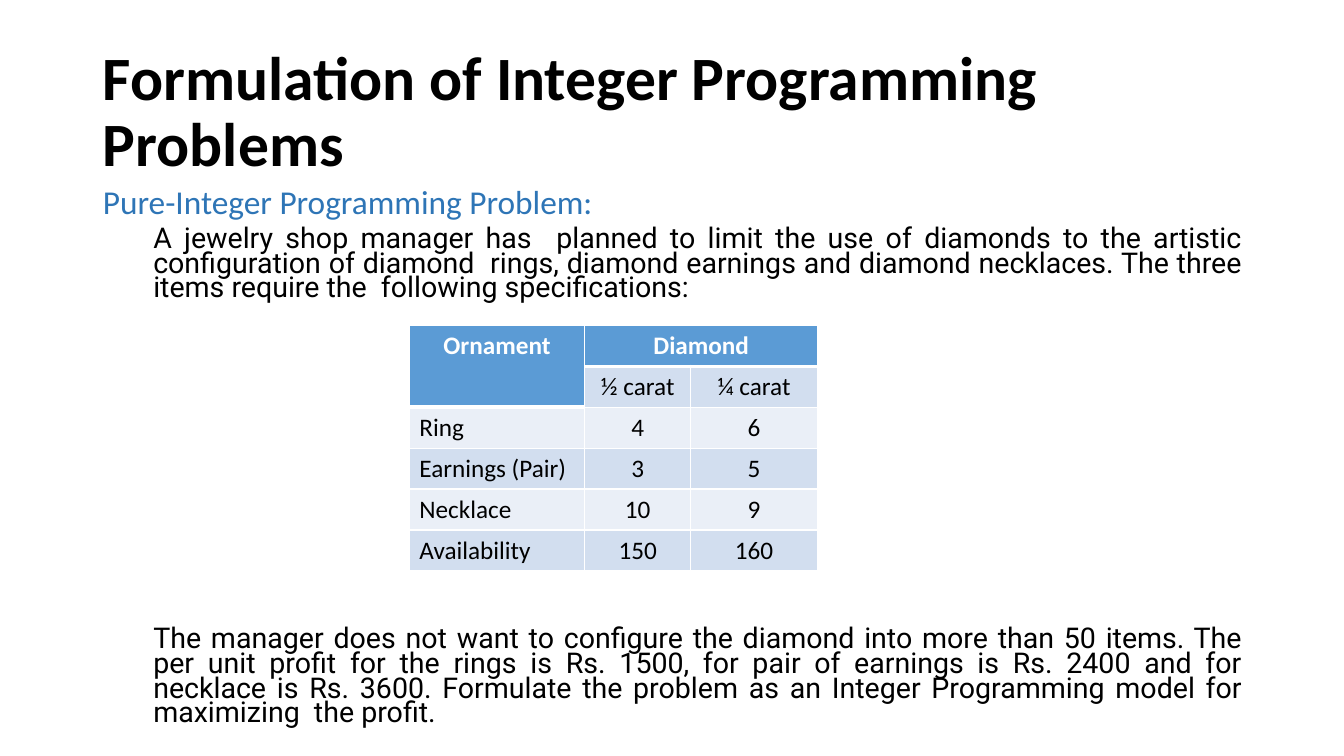
from pptx import Presentation
from pptx import util as u
from pptx.dml.color import RGBColor
from pptx.enum import text
from pptx.oxml import parse_xml
from pptx.oxml.ns import nsdecls

BLACK = RGBColor(0, 0, 0)
WHITE = RGBColor(255, 255, 255)
HEADING = RGBColor(0x2E, 0x75, 0xB6)
HEADER = RGBColor(0x5B, 0x9B, 0xD5)
BAND_DARK = RGBColor(0xD2, 0xDE, 0xEF)
BAND_LIGHT = RGBColor(0xEA, 0xEF, 0xF7)

LEFT, WIDTH = 0.92, 11.5
TITLE_TOP, TITLE_HEIGHT = 0.4, 1.45
BODY_TOP, BODY_HEIGHT = 1.85, 5.44
TABLE_LEFT, TABLE_TOP = 4.06, 3.23
COLUMNS, ROW_HEIGHT = (1.74, 1.05, 1.26), 0.4

TITLE = "Formulation of Integer Programming Problems"
SUBTITLE = "Pure-Integer Programming Problem:"
PROBLEM = (
    "A jewelry shop manager has  planned to limit the use of diamonds to the "
    "artistic configuration of diamond  rings, diamond earnings and diamond "
    "necklaces. The three items require the  following specifications:"
)
QUESTION = (
    "The manager does not want to configure the diamond into more than 50 items. "
    "The per unit profit for the rings is Rs. 1500, for pair of earnings is "
    "Rs. 2400 and for necklace is Rs. 3600. Formulate the problem as an Integer "
    "Programming model for maximizing  the profit."
)
ORNAMENTS = [
    ("Ornament", "Diamond", ""),
    ("", "½ carat", "¼ carat"),
    ("Ring", "4", "6"),
    ("Earnings (Pair)", "3", "5"),
    ("Necklace", "10", "9"),
    ("Availability", "150", "160"),
]


def place(sp, left, top, width, height):
    sp.left, sp.top = u.Inches(left), u.Inches(top)
    sp.width, sp.height = u.Inches(width), u.Inches(height)


def format_runs(p, size, color, font="Calibri", bold=False):
    for r in p.runs:
        r.font.size, r.font.name, r.font.bold = u.Pt(size), font, bold
        r.font.color.rgb = color


def fill_title(sp):
    place(sp, LEFT, TITLE_TOP, WIDTH, TITLE_HEIGHT)
    tf = sp.text_frame
    tf.text = TITLE
    tf.word_wrap = True
    tf.auto_size = text.MSO_AUTO_SIZE.NONE
    tf.vertical_anchor = text.MSO_ANCHOR.MIDDLE
    p = tf.paragraphs[0]
    p.alignment, p.line_spacing = text.PP_ALIGN.LEFT, 0.9
    format_runs(p, 44, BLACK, bold=True)


def format_body(p, level, before):
    """Justify a body paragraph and replace its bullet by a plain indent."""
    p.level, p.alignment = level, text.PP_ALIGN.JUSTIFY
    p.line_spacing, p.space_before = 0.72, u.Pt(before)
    pPr = p._p.get_or_add_pPr()
    pPr.set("marL", str(u.Inches(0.5 * level)))
    pPr.set("indent", "0")
    pPr.append(parse_xml(f"<a:buNone {nsdecls('a')}/>"))


def fill_body(sp):
    """Write the problem, leaving room for the table before the question."""
    place(sp, LEFT, BODY_TOP, WIDTH, BODY_HEIGHT)
    tf = sp.text_frame
    tf.text = "\n".join((SUBTITLE, PROBLEM, QUESTION))
    tf.word_wrap = True
    tf.auto_size = text.MSO_AUTO_SIZE.NONE
    subtitle, problem, question = tf.paragraphs
    format_body(subtitle, 0, 6)
    format_runs(subtitle, 23.8, HEADING)
    for p, before in ((problem, 6), (question, 233)):
        format_body(p, 1, before)
        format_runs(p, 20.4, BLACK, "Roboto")


def add_borders(cell, bottom):
    tcPr = cell._tc.get_or_add_tcPr()
    widths = {"lnL": 1, "lnR": 1, "lnT": 1, "lnB": bottom}
    for i, (side, width) in enumerate(widths.items()):
        tcPr.insert(i, parse_xml(
            f'<a:{side} {nsdecls("a")} w="{u.Pt(width)}"><a:solidFill>'
            f'<a:srgbClr val="{WHITE}"/></a:solidFill></a:{side}>'))


def format_cell(cell, row, col, value):
    header = row == 0 or (row == 1 and col == 0)
    cell.fill.solid()
    cell.fill.fore_color.rgb = (
        HEADER if header else BAND_DARK if row % 2 else BAND_LIGHT)
    add_borders(cell, 3 if header else 1)
    if value:
        cell.text = value
        p = cell.text_frame.paragraphs[0]
        centred = header or col > 0
        p.alignment = text.PP_ALIGN.CENTER if centred else text.PP_ALIGN.LEFT
        format_runs(p, 18, WHITE if header else BLACK, bold=header)


def add_ornaments(s):
    frame = s.shapes.add_table(
        len(ORNAMENTS), len(COLUMNS), u.Inches(TABLE_LEFT), u.Inches(TABLE_TOP),
        u.Inches(sum(COLUMNS)), u.Inches(ROW_HEIGHT * len(ORNAMENTS)))
    table = frame.table
    for column, width in zip(table.columns, COLUMNS):
        column.width = u.Inches(width)
    for row, values in enumerate(ORNAMENTS):
        for col, value in enumerate(values):
            format_cell(table.cell(row, col), row, col, value)
    table.cell(0, 0).merge(table.cell(1, 0))
    table.cell(0, 1).merge(table.cell(0, 2))


def main():
    prs = Presentation()
    prs.slide_width, prs.slide_height = u.Inches(13.33), u.Inches(7.5)
    s = prs.slides.add_slide(prs.slide_layouts[1])
    fill_title(s.shapes.title)
    fill_body(s.placeholders[1])
    add_ornaments(s)
    prs.save("out.pptx")


if __name__ == "__main__":
    main()
